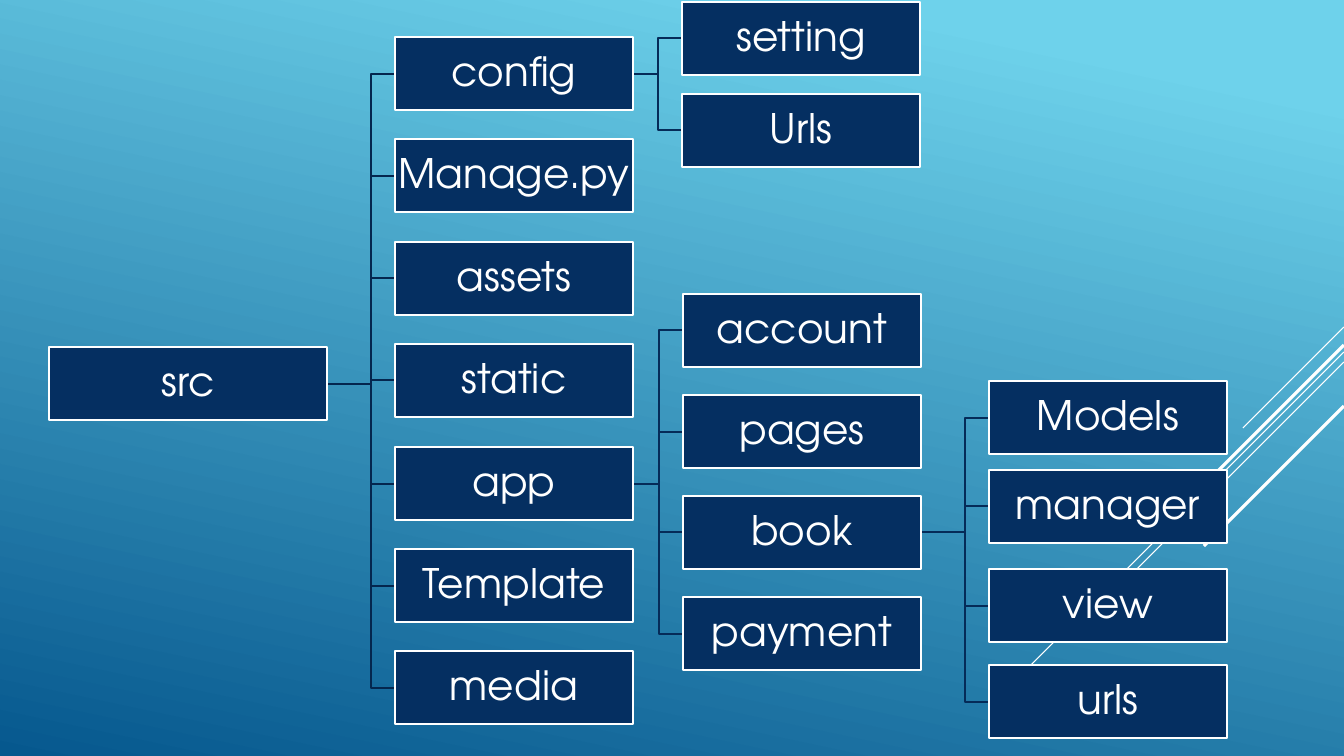
import collections

import pptx
import pptx.dml.color
import pptx.enum.shapes
import pptx.enum.text
import pptx.oxml.ns
import pptx.util
from lxml import etree

WIDTH, HEIGHT = 1344, 756
SCALE = 12192000 / WIDTH
FONT = "TeX Gyre Adventor"
NODE_WIDTH, NODE_HEIGHT = 238, 73
TRUNK_GAP = 24

Box = collections.namedtuple("Box", "left top width height")


def emu(pixels):
    """Turn pixels into EMU."""
    return pptx.util.Emu(round(pixels * SCALE))


def rgb(value):
    """Turn a hex string into a colour."""
    return pptx.dml.color.RGBColor.from_string(value)


def set_line(line, colour, points):
    """Set the colour and width of a line."""
    line.color.rgb = rgb(colour)
    line.width = pptx.util.Pt(points)


def paint_background(slide):
    """Fill the slide from light blue at the top right to deep blue."""
    fill = slide.background.fill
    fill.gradient()
    fill.gradient_angle = 258
    for stop, position, colour in zip(fill.gradient_stops, (0.1, 1), ("6ED2EB", "06588E")):
        stop.position = position
        stop.color.rgb = rgb(colour)


def draw_streaks(slide, box):
    """Draw diagonal streaks running down and left from the box's right edge."""
    right = box.left + box.width
    streaks = [(0, 101, 0.75), (25, 329, 0.75), (35, 209, 0.75), (18, 193, 2.25), (79, 140, 2.25)]
    for offset, run, points in streaks:
        start = box.top + offset
        streak = slide.shapes.add_connector(
            pptx.enum.shapes.MSO_CONNECTOR.STRAIGHT,
            emu(right), emu(start), emu(right - run), emu(start + run))
        set_line(streak.line, "FFFFFF", points)
        etree.SubElement(streak._element.spPr, pptx.oxml.ns.qn("a:effectLst"))


def draw_branch(slide, parent, children, colour):
    """Join the parent's right edge to each child's left edge with an elbow."""
    start_x = parent.left + parent.width
    start_y = parent.top + parent.height / 2
    for child in children:
        trunk_x = child.left - TRUNK_GAP
        end_y = child.top + child.height / 2
        outline = slide.shapes.build_freeform(start_x, start_y, scale=SCALE)
        outline.add_line_segments(
            [(trunk_x, start_y), (trunk_x, end_y), (child.left, end_y)], close=False)
        elbow = outline.convert_to_shape()
        elbow.shadow.inherit = False
        elbow.fill.background()
        set_line(elbow.line, colour, 1.25)


def draw_node(slide, name, box):
    """Draw one labelled file or folder."""
    node = slide.shapes.add_shape(
        pptx.enum.shapes.MSO_SHAPE.RECTANGLE, *(emu(length) for length in box))
    node.shadow.inherit = False
    node.fill.solid()
    node.fill.fore_color.rgb = rgb("052F61")
    set_line(node.line, "FFFFFF", 1.25)
    frame = node.text_frame
    frame.word_wrap = False
    frame.vertical_anchor = pptx.enum.text.MSO_ANCHOR.MIDDLE
    frame.margin_left = frame.margin_right = emu(2)
    frame.margin_top = frame.margin_bottom = emu(2)
    label = frame.paragraphs[0]
    label.alignment = pptx.enum.text.PP_ALIGN.CENTER
    label.line_spacing = 0.9
    run = label.add_run()
    run.text = name
    run.font.name = FONT
    run.font.size = pptx.util.Pt(29)
    run.font.color.rgb = rgb("FFFFFF")


def stack(names, left, tops):
    """Map each name to its box in one column of nodes."""
    return {name: Box(left, top, NODE_WIDTH, NODE_HEIGHT) for name, top in zip(names, tops)}


def draw_tree(slide, box):
    """Draw the project's folder tree, connectors behind nodes."""
    x, y = box.left, box.top
    source = {"src": Box(x, y + 345, 278, NODE_HEIGHT)}
    folders = stack(
        ["config", "Manage.py", "assets", "static", "app", "Template", "media"],
        x + 346, [y + round(35 + 102.4 * row) for row in range(7)])
    config_files = stack(["setting", "Urls"], x + 633, [y, y + 92])
    apps = stack(["account", "pages", "book", "payment"],
                 x + 634, [y + 292 + 101 * row for row in range(4)])
    book_files = stack(["Models", "manager", "view", "urls"],
                       x + 940, [y + top for top in (379, 468, 567, 663)])

    branches = [
        (source["src"], folders, "04264E"),
        (folders["config"], config_files, "052B58"),
        (folders["app"], apps, "052B58"),
        (apps["book"], book_files, "052B58"),
    ]
    for parent, children, colour in branches:
        draw_branch(slide, parent, children.values(), colour)
    for column in (source, folders, config_files, apps, book_files):
        for name, node_box in column.items():
            draw_node(slide, name, node_box)


def build():
    """Build and save the presentation."""
    deck = pptx.Presentation()
    deck.slide_width, deck.slide_height = emu(WIDTH), emu(HEIGHT)
    slide = deck.slides.add_slide(deck.slide_layouts[6])
    paint_background(slide)
    draw_streaks(slide, Box(1015, 327, 329, 354))
    draw_tree(slide, Box(49, 2, 1178, 736))
    deck.save("out.pptx")


build()
